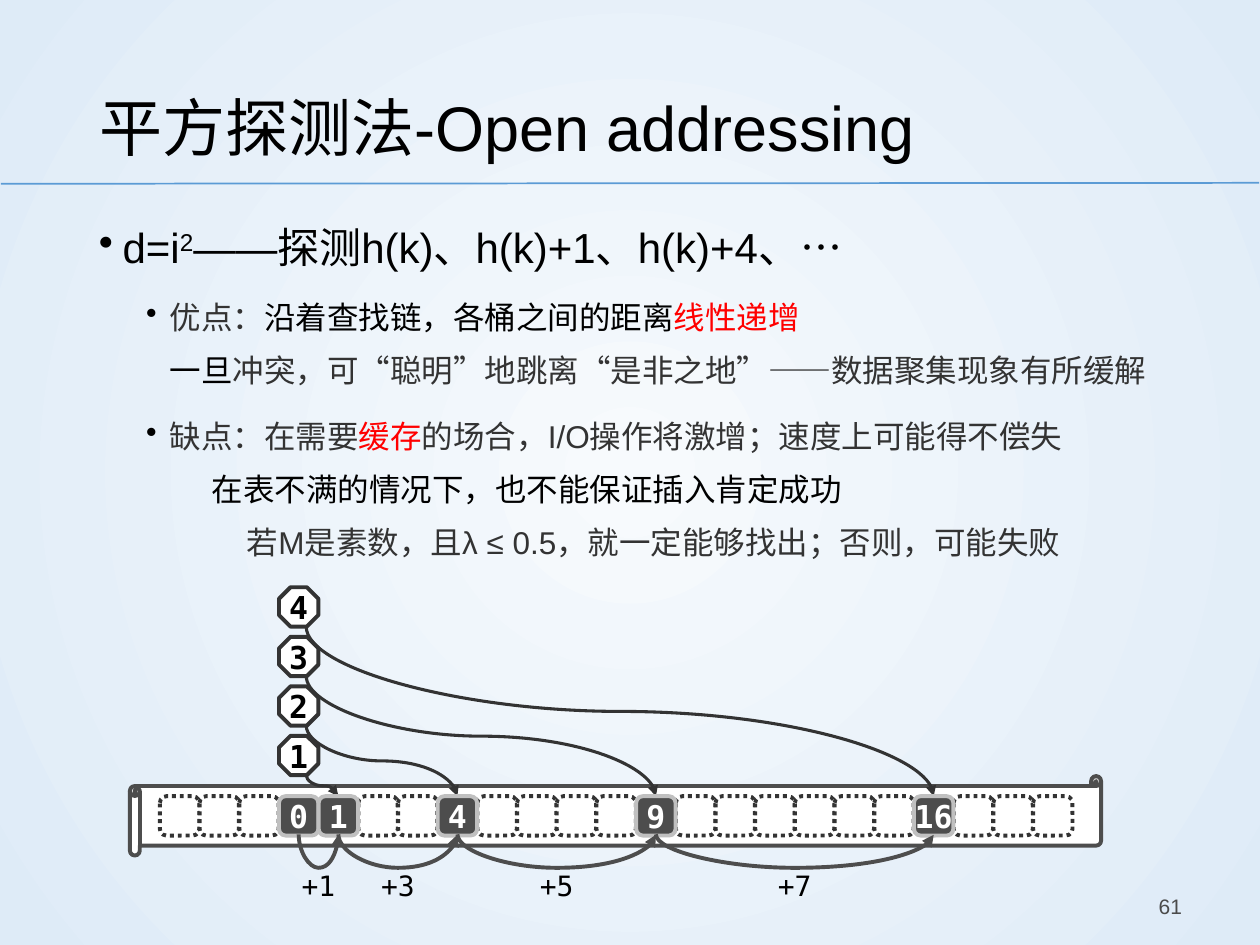
from pptx import Presentation
from pptx.dml.color import RGBColor
from pptx.enum.dml import MSO_LINE
from pptx.enum.lang import MSO_LANGUAGE_ID
from pptx.enum.shapes import MSO_CONNECTOR, MSO_SHAPE
from pptx.enum.text import MSO_ANCHOR, PP_ALIGN
from pptx.oxml.ns import qn
from pptx.util import Pt
from lxml import etree

LEFT, CENTER, RIGHT = PP_ALIGN.LEFT, PP_ALIGN.CENTER, PP_ALIGN.RIGHT
TOP, MIDDLE = MSO_ANCHOR.TOP, MSO_ANCHOR.MIDDLE
STRAIGHT, CURVE = MSO_CONNECTOR.STRAIGHT, MSO_CONNECTOR.CURVE
ROUNDED, OCTAGON = MSO_SHAPE.ROUNDED_RECTANGLE, MSO_SHAPE.OCTAGON
SCROLL = MSO_SHAPE.HORIZONTAL_SCROLL
DOTTED = MSO_LINE.ROUND_DOT
CHINESE = MSO_LANGUAGE_ID.SIMPLIFIED_CHINESE

COLORS = {
    "center": "F7FAFD", "edge": "DEEBF7", "rule": "5B9BD5",
    "black": "000000", "dark": "333333", "red": "FF0000", "white": "FFFFFF",
    "slot": "4D4D4D", "silver": "C0C0C0", "number": "4B4B4B",
}
SANS, MONO = "Arial", "DejaVu Sans Mono"

# Hash table geometry
CELL_COUNT, HOME = 23, 3
CELL_LEFT, CELL_TOP, CELL_STEP, CELL_SIZE = 91.4, 455, 22.68, 22.5
CELL_BOTTOM = CELL_TOP + CELL_SIZE - 0.75
PROBE_TOP, PROBE_STEP = 420.5, 28.3
PROBES = [1, 2, 3, 4]

# Body lines: left margin, first-line indent, space before, space after, spans
BULLET = "•"
BODY = [
    (13.5, -13.5, 0, 0, 24, 1.2, [
        ("d=i", "black"), ("2", "black"),
        ("——探测h(k)、h(k)+1、h(k)+4、…", "black")]),
    (40.5, -13.5, 6, 0, 18, 1.4, [
        ("优点：", "dark"), ("沿着查找链，各桶之间的距离", "black"),
        ("线性递增", "red")]),
    (40.5, 0, 0, 1.5, 18, 1.4, [
        ("一旦", "black"),
        ("冲突，可“聪明”地跳离“是非之地”——数据聚集现象有所缓解", "dark")]),
    (40.5, -13.5, 6, 0, 18, 1.4, [
        ("缺点：在需要", "dark"), ("缓存", "red"),
        ("的场合，I/O操作将激增；速度上可能得不偿失", "dark")]),
    (64.5, 0, 0, 0, 18, 1.4, [
        ("在表不满的情况下，也不能保证插入肯定成功", "black")]),
    (84.5, 0, 0, 0, 18, 1.4, [
        ("若M是素数，且λ ≤ 0.5，就一定能够找出；否则，可能失败", "dark")]),
]


def rgb(name):
    return RGBColor.from_string(COLORS[name])


def apply(target, **values):
    for name, value in values.items():
        setattr(target, name, value)


def add_span(para, text, color, size, font=SANS, bold=False):
    span = para.add_run()
    span.text = text
    apply(span.font, name=font, size=Pt(size), bold=bold, language_id=CHINESE)
    span.font.color.rgb = rgb(color)
    return span


def set_frame(shape, anchor, wrap=True, inset=None):
    frame = shape.text_frame
    apply(frame, word_wrap=wrap, vertical_anchor=anchor)
    if inset is not None:
        apply(frame, margin_left=Pt(inset), margin_right=Pt(inset),
              margin_top=Pt(inset), margin_bottom=Pt(inset))
    return frame


def add_text(slide, area, text, color, size, font, align, **frame_values):
    box = slide.shapes.add_textbox(*map(Pt, area))
    para = set_frame(box, MIDDLE, **frame_values).paragraphs[0]
    para.alignment = align
    add_span(para, text, color, size, font)


def add_box(slide, kind, area, fill, line, text="", color="black", dash=None):
    box = slide.shapes.add_shape(kind, *map(Pt, area))
    box.shadow.inherit = False
    box.fill.solid()
    box.fill.fore_color.rgb = rgb(fill)
    box.line.color.rgb = rgb(line)
    apply(box.line, width=Pt(2.25), dash_style=dash)
    if text:
        para = set_frame(box, MIDDLE, wrap=False, inset=0).paragraphs[0]
        para.alignment = CENTER
        add_span(para, text, color, 18, MONO, True)
    return box


def add_line(slide, kind, start, end, color, width):
    line = slide.shapes.add_connector(kind, *map(Pt, start + end))
    line.line.color.rgb = rgb(color)
    line.line.width = Pt(width)
    etree.SubElement(line._element.spPr, qn("a:effectLst"))
    return line


def add_curve(slide, start, end, bend, color, width):
    """Curved arrow that leaves and arrives vertically, turning bend points below start."""
    (x1, y1), (x2, y2) = start, end
    middle_x, middle_y = (x1 + x2) / 2, (y1 + y2) / 2
    half_w, half_h = (y2 - y1) / 2, (x2 - x1) / 2
    curve = add_line(slide, CURVE, (middle_x - half_w, middle_y + half_h),
                     (middle_x + half_w, middle_y - half_h), color, width)
    properties = curve._element.spPr
    properties.find(qn("a:xfrm")).set("rot", "5400000")
    guides = properties.find(qn("a:prstGeom")).get_or_add_avLst()
    ratio = round(bend / (y2 - y1) * 100000)
    etree.SubElement(guides, qn("a:gd"), name="adj1", fmla=f"val {ratio}")
    etree.SubElement(curve.line._get_or_add_ln(), qn("a:tailEnd"), type="triangle")


def set_background(slide):
    fill = slide.background.fill
    fill.gradient()
    for stop, color in zip(fill.gradient_stops, ("center", "edge")):
        stop.color.rgb = rgb(color)
    linear = next(slide._element.iter(qn("a:lin")))
    gradient = linear.getparent()
    gradient.remove(linear)
    radial = etree.SubElement(gradient, qn("a:path"))
    radial.set("path", "circle")
    etree.SubElement(radial, qn("a:fillToRect"), l="50000", t="50000", r="50000", b="50000")


def add_title(slide, text):
    title = slide.shapes.title
    apply(title, left=Pt(49.5), top=Pt(28.75), width=Pt(621), height=Pt(78))
    para = set_frame(title, MIDDLE).paragraphs[0]
    apply(para, alignment=LEFT, line_spacing=1.2)
    add_span(para, text, "black", 36)


def add_body(slide):
    body = slide.shapes.add_textbox(Pt(49.5), Pt(117.5), Pt(621), Pt(369))
    frame = set_frame(body, TOP)
    for index, (margin, indent, before, after, size, spacing, spans) in enumerate(BODY):
        para = frame.add_paragraph() if index else frame.paragraphs[0]
        properties = para._p.get_or_add_pPr()
        properties.set("marL", str(Pt(margin)))
        properties.set("indent", str(Pt(indent)))
        if indent:
            tint = etree.SubElement(properties, qn("a:buClr"))
            etree.SubElement(tint, qn("a:srgbClr"), val=COLORS["black"])
            etree.SubElement(properties, qn("a:buChar"), char=BULLET)
        apply(para, alignment=LEFT, line_spacing=spacing,
              space_before=Pt(before), space_after=Pt(after))
        for text, color in spans:
            span = add_span(para, text, color, size)
            if text == "2":
                span.font._element.set("baseline", "30000")


def cell_left(offset):
    return CELL_LEFT + (HOME + offset) * CELL_STEP


def cell_middle(offset):
    return cell_left(offset) + CELL_SIZE / 2


def add_cell(slide, offset, *style, **options):
    area = (cell_left(offset), CELL_TOP, CELL_SIZE, CELL_SIZE)
    add_box(slide, ROUNDED, area, *style, **options)


def add_table_row(slide):
    add_box(slide, SCROLL, (74.2, 443.5, 555, 45.4), "white", "slot")
    used = {0} | {probe ** 2 for probe in PROBES}
    for offset in range(-HOME, CELL_COUNT - HOME):
        if offset not in used:
            add_cell(slide, offset, "white", "dark", dash=DOTTED)
    add_cell(slide, 0, "slot", "silver", "0", "white")


def add_probe(slide, probe):
    target = probe ** 2
    top = PROBE_TOP - (probe - 1) * PROBE_STEP
    start = (175, top + CELL_SIZE)
    add_curve(slide, start, (cell_middle(target), CELL_TOP),
              (CELL_TOP - start[1]) / 2, "dark", 1.75)
    add_cell(slide, target, "slot", "silver", str(target), "white")
    add_box(slide, OCTAGON, (cell_left(0), top, CELL_SIZE, CELL_SIZE),
            "white", "dark", str(probe))


def add_step(slide, probe):
    first, last = (probe - 1) ** 2, probe ** 2
    add_curve(slide, (cell_middle(first), CELL_BOTTOM),
              (cell_middle(last), CELL_BOTTOM + 0.25), 18.75, "slot", 2.25)
    left = (cell_left(first) + cell_left(last)) / 2
    add_text(slide, (left, 494.5, CELL_SIZE, CELL_SIZE), f"+{last - first}",
             "black", 16, MONO, CENTER, wrap=False, inset=0)


def main():
    deck = Presentation()
    apply(deck, slide_width=Pt(720), slide_height=Pt(540))
    slide = deck.slides.add_slide(deck.slide_layouts[5])
    set_background(slide)

    # Heading and text
    add_line(slide, STRAIGHT, (0.5, 105), (719.5, 104.5), "rule", 1)
    add_title(slide, "平方探测法-Open addressing")
    add_body(slide)
    add_text(slide, (520.5, 503.5, 162, 28.75), "61", "number", 12, SANS, RIGHT)

    # Hash table with the probes above and the step sizes below
    add_table_row(slide)
    for add_part in (add_probe, add_step):
        for probe in PROBES:
            add_part(slide, probe)

    deck.save("out.pptx")


if __name__ == "__main__":
    main()
